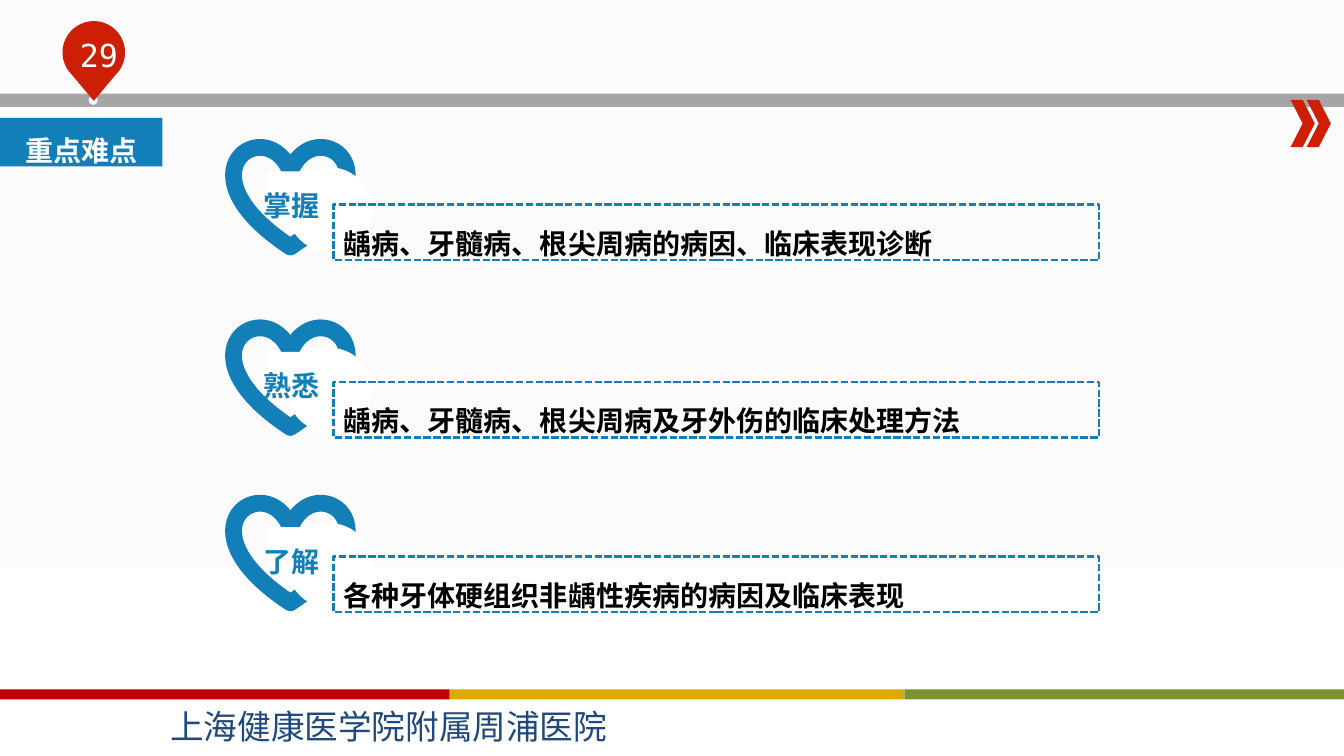
from math import cos, radians, sin

from lxml.etree import SubElement
from pptx import Presentation
from pptx.dml.color import RGBColor
from pptx.enum.dml import MSO_LINE
from pptx.enum.shapes import MSO_SHAPE
from pptx.enum.text import MSO_ANCHOR, MSO_AUTO_SIZE, PP_ALIGN
from pptx.oxml.ns import qn
from pptx.util import Inches, Pt

BLUE = "127FB8"
RED = "CD1F06"
WHITE = "FFFFFF"
CHINESE_FONT = "Noto Sans CJK SC"
GOALS = [
    ("掌握", "龋病、牙髓病、根尖周病的病因、临床表现诊断", 1.45, 0.35, 2.03),
    ("熟悉", "龋病、牙髓病、根尖周病及牙外伤的临床处理方法", 3.24, 0.23, 3.79),
    ("了解", "各种牙体硬组织非龋性疾病的病因及临床表现", 4.98, 0.46, 5.52),
]


def color(value):
    return RGBColor.from_string(value)


def add_shape(shapes, kind, left, top, width, height, fill=None, line=None, weight=1):
    shape = shapes.add_shape(kind, Inches(left), Inches(top), Inches(width), Inches(height))
    paint(shape, fill, line, weight)
    return shape


def paint(shape, fill=None, line=None, weight=1):
    shape.shadow.inherit = False
    if fill:
        shape.fill.solid()
        shape.fill.fore_color.rgb = color(fill)
    else:
        shape.fill.background()
    if line:
        shape.line.color.rgb = color(line)
        shape.line.width = Pt(weight)
    else:
        shape.line.fill.background()


def add_text_box(shapes, left, top, width, height):
    return shapes.add_textbox(Inches(left), Inches(top), Inches(width), Inches(height))


def write(box, text, size, text_color, font="Times New Roman", bold=False,
          align=PP_ALIGN.LEFT, anchor=MSO_ANCHOR.TOP, spacing=1.0, wrap=True):
    frame = box.text_frame
    frame.text = text
    frame.word_wrap = wrap
    frame.vertical_anchor = anchor
    para = frame.paragraphs[0]
    para.alignment = align
    para.line_spacing = spacing
    span = para.runs[0]
    span.font.size = Pt(size)
    span.font.bold = bold
    span.font.name = font
    span.font.color.rgb = color(text_color)
    SubElement(span.font._element, qn("a:ea")).set("typeface", CHINESE_FONT)


def set_background(page):
    fill = page.background.fill
    fill.gradient()
    fill.gradient_angle = 270
    start, end = fill.gradient_stops
    start.color.rgb, start.position = color("FBFBFB"), 0.5
    end.color.rgb, end.position = color(WHITE), 1


def add_pin(page, left, top, radius):
    center_x, center_y = left + radius, top + radius
    outline = [
        (center_x + radius * cos(radians(angle)), center_y + radius * sin(radians(angle)))
        for angle in range(135, 406, 5)
    ]
    outline.append((center_x, top + 0.79))
    points = [(Inches(x), Inches(y)) for x, y in outline]
    builder = page.shapes.build_freeform(*points[0])
    builder.add_line_segments(points[1:], close=True)
    paint(builder.convert_to_shape(), RED)
    number = add_text_box(page.shapes, left - 0.17, top + 0.1, 0.87, 0.41)
    write(number, "29", 22.6, WHITE, "DejaVu Sans Mono", align=PP_ALIGN.CENTER)
    number.text_frame.margin_left = Inches(0.29)


def add_header(page):
    add_shape(page.shapes, MSO_SHAPE.RECTANGLE, 0, 0.93, 13.33, 0.13, "A5A5A5")
    for index in range(2):
        add_shape(page.shapes, MSO_SHAPE.CHEVRON, 12.8 + 0.16 * index, 0.99, 0.24, 0.47, RED)
    add_shape(page.shapes, MSO_SHAPE.OVAL, 0.88, 0.95, 0.09, 0.09, "F6F6F6")
    add_pin(page, 0.62, 0.21, 0.31)
    title = add_shape(page.shapes, MSO_SHAPE.RECTANGLE, 0, 1.17, 1.61, 0.48, BLUE)
    write(title, "重点难点", 20, WHITE, bold=True, align=PP_ALIGN.CENTER,
          anchor=MSO_ANCHOR.MIDDLE, spacing=1.5)


def add_footer(page, left, top):
    stripes = page.shapes.add_group_shape().shapes
    for index, fill in enumerate(["C00000", "DEA900", "7C912F"]):
        add_shape(stripes, MSO_SHAPE.RECTANGLE, left + 4.505 * index, top, 4.5, 0.1, fill)
    hospital = add_text_box(page.shapes, left + 1.63, top + 0.11, 4.53, 0.5)
    write(hospital, "上海健康医学院附属周浦医院", 24, "1F497D", CHINESE_FONT, wrap=False)
    hospital.text_frame.auto_size = MSO_AUTO_SIZE.SHAPE_TO_FIT_TEXT


def add_heart(page, left, top, level, gap_height):
    shapes = page.shapes.add_group_shape().shapes
    add_shape(shapes, MSO_SHAPE.HEART, left, top, 1.12, 1, line=BLUE, weight=12)
    add_shape(shapes, MSO_SHAPE.OVAL, left + 0.53, top + 0.21, 0.84, 0.84, WHITE)
    add_shape(shapes, MSO_SHAPE.RECTANGLE, left + 0.33, top + 0.25, 0.46, gap_height, WHITE)
    label = add_text_box(shapes, left - 0.05, top + 0.26, 1.25, 0.48)
    write(label, level, 20, BLUE, bold=True, align=PP_ALIGN.CENTER,
          anchor=MSO_ANCHOR.MIDDLE, spacing=1.5)


def add_goal(page, left, top, text):
    goal = add_shape(page.shapes, MSO_SHAPE.RECTANGLE, left, top, 7.59, 0.55,
                     line=BLUE, weight=1.75)
    goal.line.dash_style = MSO_LINE.SQUARE_DOT
    write(goal, text, 20, "000000", bold=True, spacing=1.5)
    goal.text_frame.auto_size = MSO_AUTO_SIZE.SHAPE_TO_FIT_TEXT


def main():
    deck = Presentation()
    deck.slide_width, deck.slide_height = Inches(13.33), Inches(7.5)
    page = deck.slides.add_slide(deck.slide_layouts[6])
    set_background(page)
    add_header(page)
    add_footer(page, -0.04, 6.84)
    for level, text, heart_top, gap_height, goal_top in GOALS:
        add_heart(page, 2.32, heart_top, level, gap_height)
        add_goal(page, 3.31, goal_top, text)
    deck.save("out.pptx")


if __name__ == "__main__":
    main()
